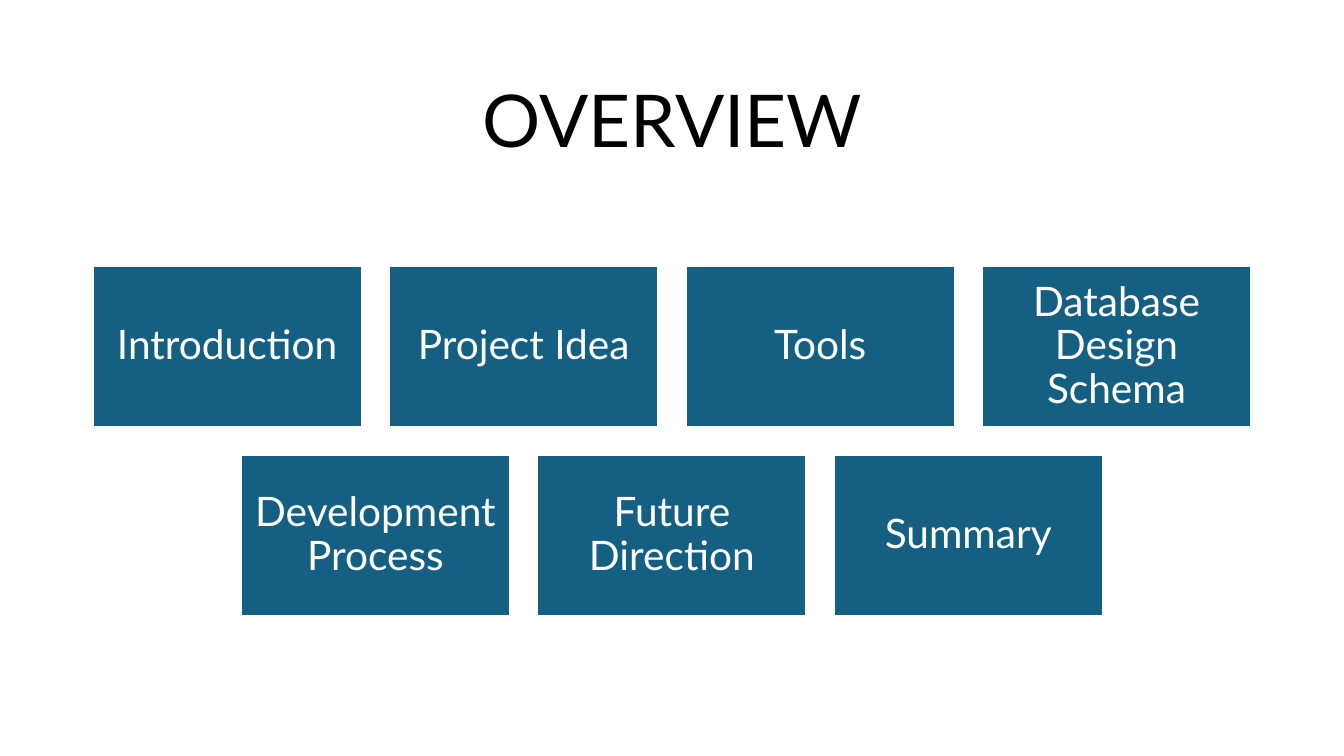
from pptx import Presentation
from pptx.dml.color import RGBColor
from pptx.enum.shapes import MSO_SHAPE as Shape
from pptx.enum.text import MSO_ANCHOR as Anchor, MSO_AUTO_SIZE as AutoSize, PP_ALIGN as Align
from pptx.util import Inches, Pt

COLORS = {"tile": "156082", "white": "FFFFFF", "title": "000000"}
FONT = "Lato"
SLIDE_WIDTH, SLIDE_HEIGHT = 13.33, 7.5

# Topic grid: each row is centred on the slide
TOPIC_ROWS = [
    ["Introduction", "Project Idea", "Tools", "Database Design Schema"],
    ["Development Process", "Future Direction", "Summary"],
]
TILE_WIDTH, TILE_HEIGHT, GAP = 2.67, 1.6, 0.27
GRID_TOP = 2.64
TILE_INSET = 0.12


def color(name):
    return RGBColor.from_string(COLORS[name])


def set_all(target, values):
    for name, value in values.items():
        setattr(target, name, value)


def write_text(frame, text, size, color_name):
    set_all(frame, {"word_wrap": True, "auto_size": AutoSize.NONE,
                    "vertical_anchor": Anchor.MIDDLE})
    para = frame.paragraphs[0]
    set_all(para, {"alignment": Align.CENTER, "line_spacing": 0.9})
    span = para.add_run()
    span.text = text
    set_all(span.font, {"name": FONT, "size": Pt(size)})
    span.font.color.rgb = color(color_name)


def add_title(page, text):
    title = page.shapes.title
    set_all(title, {"left": Inches(0.92), "top": Inches(0.61),
                    "width": Inches(11.5), "height": Inches(1.24)})
    write_text(title.text_frame, text, 52, "title")


def add_tile(page, text, left, top):
    tile = page.shapes.add_shape(Shape.RECTANGLE, Inches(left), Inches(top),
                                 Inches(TILE_WIDTH), Inches(TILE_HEIGHT))
    tile.shadow.inherit = False
    tile.fill.solid()
    tile.fill.fore_color.rgb = color("tile")
    tile.line.color.rgb = color("white")
    tile.line.width = Pt(1.5)
    sides = ("left", "top", "right", "bottom")
    set_all(tile.text_frame, {f"margin_{side}": Inches(TILE_INSET) for side in sides})
    write_text(tile.text_frame, text, 29, "white")


def add_topic_row(page, topics, top):
    row_width = len(topics) * (TILE_WIDTH + GAP) - GAP
    start = (SLIDE_WIDTH - row_width) / 2
    for column, topic in enumerate(topics):
        add_tile(page, topic, start + column * (TILE_WIDTH + GAP), top)


def main():
    deck = Presentation()
    set_all(deck, {"slide_width": Inches(SLIDE_WIDTH), "slide_height": Inches(SLIDE_HEIGHT)})
    page = deck.slides.add_slide(deck.slide_layouts[5])

    # Heading
    add_title(page, "OVERVIEW")

    # Topic tiles
    for row, topics in enumerate(TOPIC_ROWS):
        add_topic_row(page, topics, GRID_TOP + row * (TILE_HEIGHT + GAP))

    deck.save("out.pptx")


if __name__ == "__main__":
    main()
